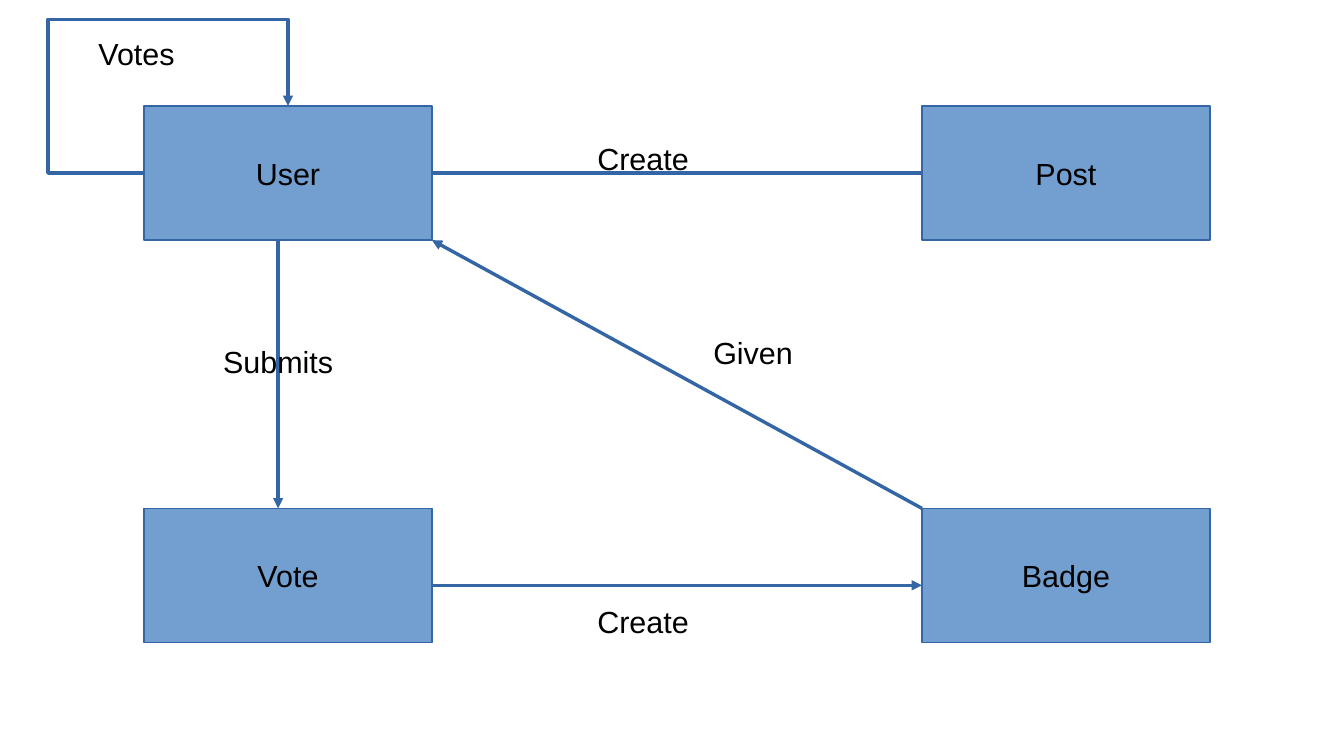
from pptx import Presentation
from pptx.dml.color import RGBColor
from pptx.enum.shapes import MSO_CONNECTOR as Link, MSO_SHAPE as Shape
from pptx.enum.text import MSO_ANCHOR as Anchor, PP_ALIGN as Align
from pptx.oxml.ns import qn
from pptx.util import Pt
from lxml.etree import SubElement as Sub

BLUE = RGBColor(0x72, 0x9F, 0xCF)
EDGE = RGBColor(0x34, 0x65, 0xA4)
BLACK = RGBColor(0, 0, 0)
WIDE, HIGH = 793.44, 446.4
BOX_W, BOX_H = 170, 79.2
LEFT, RIGHT = 85, 544.3
TOP, LOW = 62.6, 300.2


def write(frame, words, align):
    par = frame.paragraphs[0]
    par.alignment = align
    run = par.add_run()
    run.text = words
    run.font.name = "Arial"
    run.font.size = Pt(18)
    run.font.color.rgb = BLACK


def add_box(slide, words, x, y):
    box = slide.shapes.add_shape(Shape.RECTANGLE, Pt(x), Pt(y), Pt(BOX_W), Pt(BOX_H))
    box.shadow.inherit = False
    box.fill.solid()
    box.fill.fore_color.rgb = BLUE
    box.line.color.rgb = EDGE
    box.line.width = Pt(0)
    box.text_frame.word_wrap = False
    box.text_frame.vertical_anchor = Anchor.MIDDLE
    write(box.text_frame, words, Align.CENTER)


def add_label(slide, words, x, y, w):
    label = slide.shapes.add_textbox(Pt(x), Pt(y), Pt(w), Pt(27.4))
    label.text_frame.word_wrap = True
    write(label.text_frame, words, Align.LEFT)


def add_link(slide, start, end, arrow=True, kind=Link.STRAIGHT):
    link = slide.shapes.add_connector(kind, *map(Pt, start + end))
    link.line.color.rgb = EDGE
    link.line.width = Pt(0)
    if arrow:
        Sub(link.line._get_or_add_ln(), qn("a:tailEnd"), type="triangle")
    Sub(link._element.spPr, qn("a:effectLst"))
    return link


def add_loop(slide, start, end, out_x, out_y):
    """Leave start sideways to out_x, rise to out_y, then drop onto end."""
    loop = add_link(slide, start, end, kind=Link.ELBOW)
    geom = loop._element.spPr.find(qn("a:prstGeom"))
    geom.set("prst", "bentConnector4")
    turns = geom.find(qn("a:avLst"))
    for i, out in enumerate((out_x, out_y)):
        part = (out - start[i]) / (end[i] - start[i])
        Sub(turns, qn("a:gd"), name=f"adj{i + 1}", fmla=f"val {round(part * 100000)}")


def draw_model(slide, left, right, top, low):
    inner, mid = left + BOX_W, top + BOX_H / 2
    base = top + BOX_H

    # Entities
    for words, x, y in (("User", left, top), ("Post", right, top),
                        ("Badge", right, low), ("Vote", left, low)):
        add_box(slide, words, x, y)

    # Relations
    add_link(slide, (inner, mid), (right, mid), arrow=False)
    add_link(slide, (left + 79.2, base), (left + 79.2, low))
    add_link(slide, (right, low), (inner, base))
    add_link(slide, (inner, low + 45.4), (right, low + 45.4))
    add_loop(slide, (left, mid), (left + BOX_W / 2, top), left - 56.7, top - 51)

    # Relation names
    for words, x, y, w in (("Create", inner + 90.6, top + 16.6, 96.5),
                           ("Create", inner + 90.6, low + 52.6, 141.8),
                           ("Submits", left + 39.6, base + 56.9, 102.2),
                           ("Given", inner + 159, base + 51.9, 147.6),
                           ("Votes", left - 34, top - 45.3, 73.4)):
        add_label(slide, words, x, y, w)


def main():
    deck = Presentation()
    deck.slide_width, deck.slide_height = Pt(WIDE), Pt(HIGH)
    slide = deck.slides.add_slide(deck.slide_layouts[6])
    draw_model(slide, LEFT, RIGHT, TOP, LOW)
    deck.save("out.pptx")


if __name__ == "__main__":
    main()
